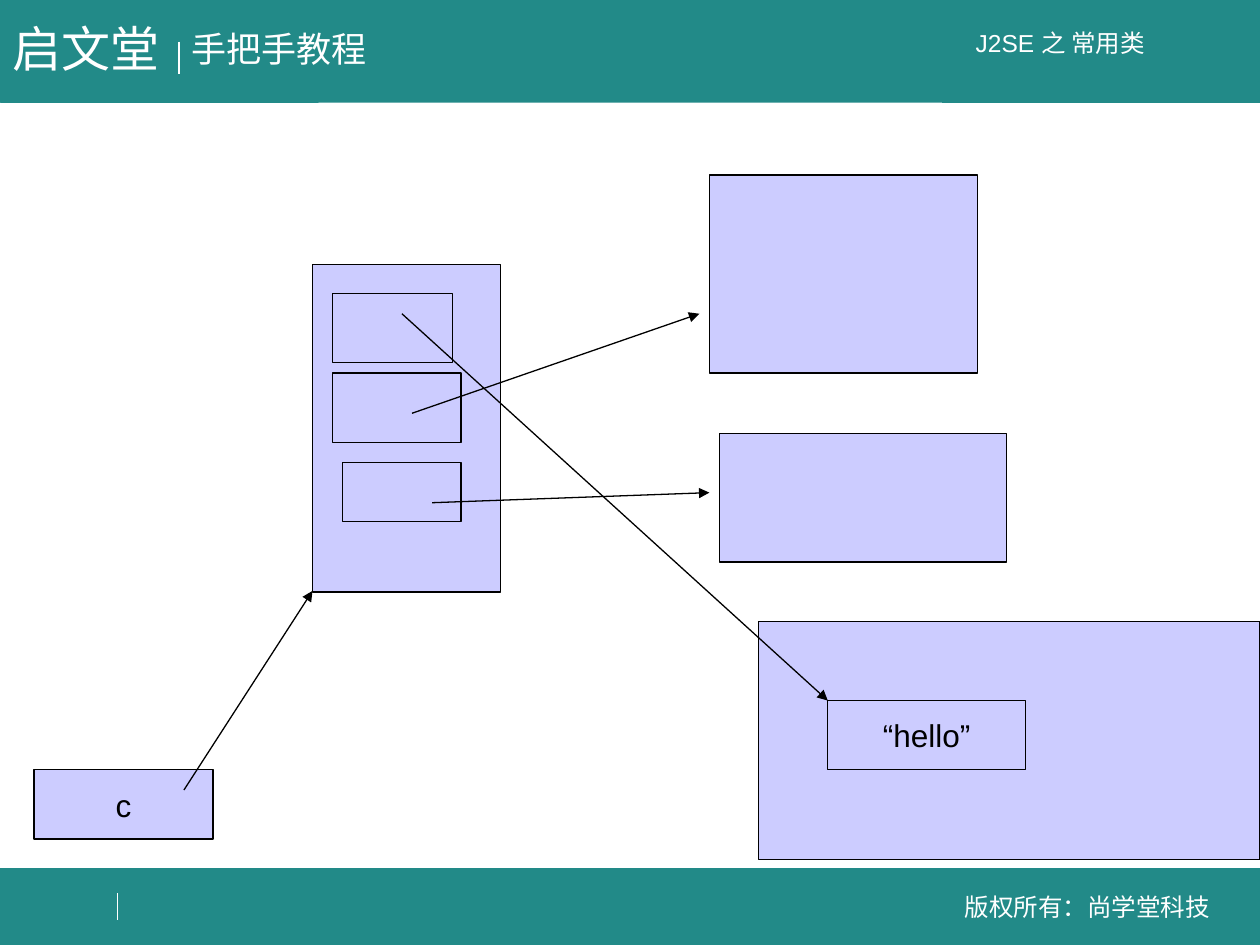
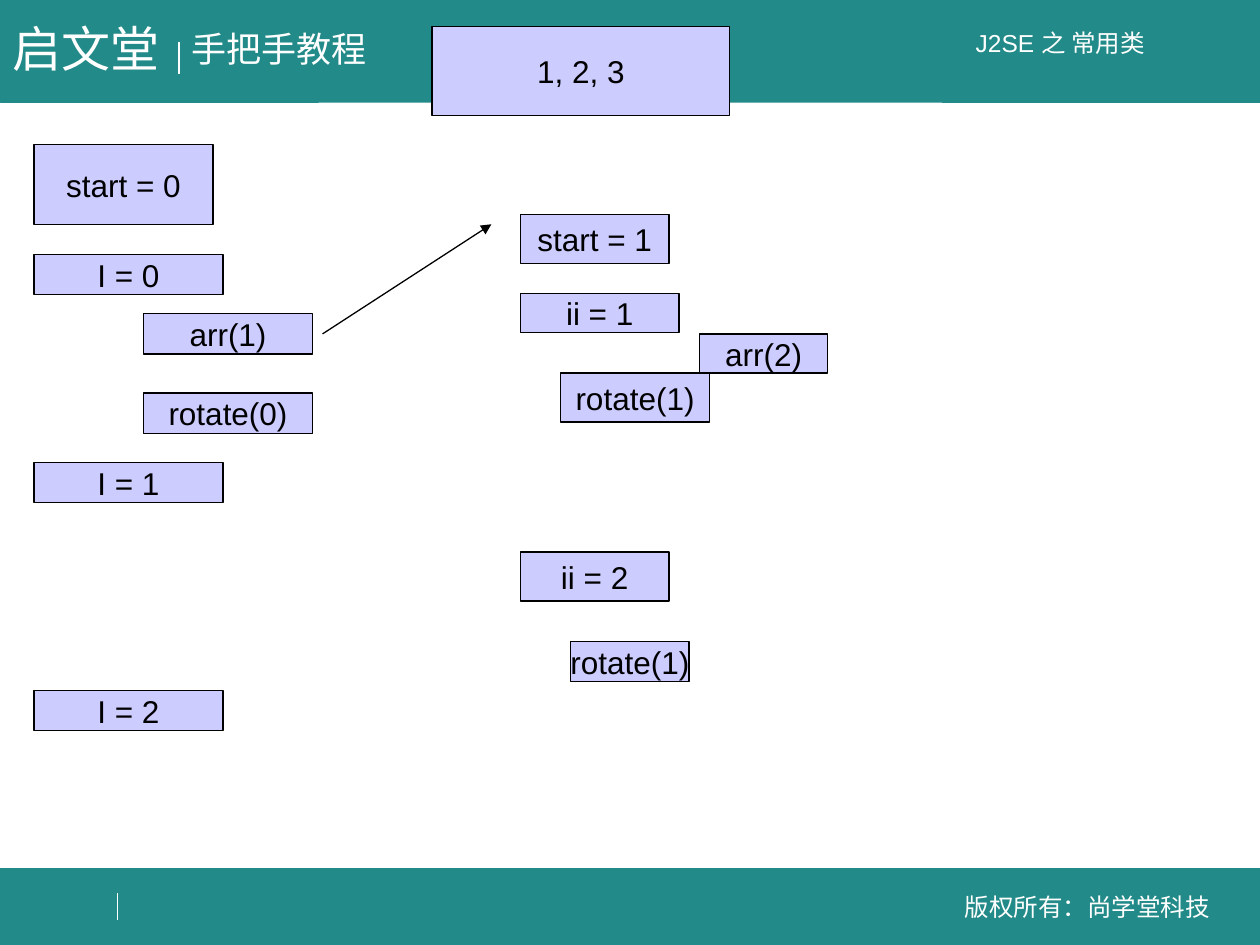
from dataclasses import dataclass

from pptx import Presentation
from pptx.dml.color import RGBColor
from pptx.enum.shapes import MSO_CONNECTOR, MSO_SHAPE
from pptx.enum.text import MSO_ANCHOR, MSO_AUTO_SIZE, PP_ALIGN
from pptx.oxml.ns import qn
from pptx.slide import Slide
from pptx.text.text import TextFrame
from pptx.util import Inches, Pt
from lxml.etree import SubElement

TEAL = RGBColor(0x22, 0x8A, 0x88)
LAVENDER = RGBColor(0xCC, 0xCC, 0xFF)
BLACK = RGBColor(0, 0, 0)
WHITE = RGBColor(0xFF, 0xFF, 0xFF)
FONT = "Arial"


@dataclass(frozen=True)
class Box:
    x: float
    y: float
    w: float
    h: float
    text: str = ""


@dataclass(frozen=True)
class Label:
    box: Box
    size: int
    centred: bool = False


@dataclass(frozen=True)
class Line:
    x1: float
    y1: float
    x2: float
    y2: float


BANDS = [Box(0, 6.89, 10, 0.61), Box(0, 0, 10, 0.81)]
DIVIDERS = [Line(1.42, 0.33, 1.42, 0.59), Line(0.93, 7.09, 0.93, 7.3)]
LABELS = [
    Label(Box(1.42, 0.17, 1.59, 0.44, "手把手教程"), 20),
    Label(Box(7.47, 7.03, 2.32, 0.34, "版权所有：尚学堂科技"), 14, True),
    Label(Box(6.83, 0.17, 3.17, 0.34, "J2SE 之 常用类"), 14, True),
    Label(Box(0, 0.1, 1.42, 0.57, "启文堂"), 28),
]

MEMORY_BOXES = [
    Box(0.27, 6.11, 1.42, 0.55, "c"),
    Box(2.48, 2.1, 1.49, 2.6),
    Box(2.64, 2.33, 0.95, 0.55),
    Box(2.64, 2.96, 1.02, 0.55),
    Box(2.72, 3.67, 0.94, 0.47),
    Box(6.02, 4.93, 3.98, 1.89),
    Box(6.57, 5.56, 1.57, 0.55, "“hello”"),
    Box(5.63, 1.39, 2.13, 1.57),
    Box(5.71, 3.44, 2.28, 1.02),
]
MEMORY_ARROWS = [
    Line(3.19, 2.49, 6.57, 5.56),
    Line(3.27, 3.28, 5.55, 2.49),
    Line(3.43, 3.99, 5.63, 3.91),
    Line(1.46, 6.27, 2.48, 4.69),
]

LOOP_STEPS = [Box(0.27, y, 1.5, 0.32, f"I = {i}") for i, y in enumerate((2.02, 3.67, 5.48))]
OUTER_CALLS = [
    Box(1.14, y, 1.34, 0.32, text) for y, text in ((2.49, "arr(1)"), (3.12, "rotate(0)"))
]
RECURSION_BOXES = [
    Box(0.27, 1.15, 1.42, 0.63, "start = 0"),
    *LOOP_STEPS,
    *OUTER_CALLS,
    Box(3.43, 0.21, 2.36, 0.71, "1, 2, 3"),
    Box(4.13, 1.7, 1.18, 0.39, "start = 1"),
    Box(4.13, 2.33, 1.26, 0.31, "ii = 1"),
    Box(4.45, 2.96, 1.18, 0.39, "rotate(1)"),
    Box(5.55, 2.65, 1.02, 0.31, "arr(2)"),
    Box(4.13, 4.38, 1.18, 0.39, "ii = 2"),
    Box(4.53, 5.09, 0.94, 0.32, "rotate(1)"),
]
RECURSION_ARROWS = [Line(2.56, 2.65, 3.9, 1.78)]


def write(tf: TextFrame, text: str, size: int, color: RGBColor, align: PP_ALIGN) -> None:
    p = tf.paragraphs[0]
    p.alignment = align
    r = p.add_run()
    r.text = text
    r.font.name = FONT
    r.font.size = Pt(size)
    r.font.color.rgb = color


def draw_box(s: Slide, box: Box, fill: RGBColor, line: RGBColor, width: float) -> None:
    sp = s.shapes.add_shape(
        MSO_SHAPE.RECTANGLE, Inches(box.x), Inches(box.y), Inches(box.w), Inches(box.h)
    )
    sp.shadow.inherit = False
    sp.fill.solid()
    sp.fill.fore_color.rgb = fill
    sp.line.color.rgb = line
    sp.line.width = Pt(width)
    if box.text:
        tf = sp.text_frame
        tf.word_wrap = False
        tf.vertical_anchor = MSO_ANCHOR.MIDDLE
        write(tf, box.text, 18, BLACK, PP_ALIGN.CENTER)


def draw_label(s: Slide, label: Label) -> None:
    box = label.box
    sp = s.shapes.add_textbox(Inches(box.x), Inches(box.y), Inches(box.w), Inches(box.h))
    tf = sp.text_frame
    tf.word_wrap = label.centred
    tf.auto_size = MSO_AUTO_SIZE.SHAPE_TO_FIT_TEXT
    tf.vertical_anchor = MSO_ANCHOR.MIDDLE if label.centred else MSO_ANCHOR.TOP
    write(tf, box.text, label.size, WHITE, PP_ALIGN.CENTER if label.centred else PP_ALIGN.LEFT)


def draw_line(s: Slide, line: Line, color: RGBColor, arrow: bool = False) -> None:
    cx = s.shapes.add_connector(
        MSO_CONNECTOR.STRAIGHT,
        Inches(line.x1), Inches(line.y1), Inches(line.x2), Inches(line.y2),
    )
    cx.line.color.rgb = color
    cx.line.width = Pt(0.75)
    if arrow:
        SubElement(cx.line._get_or_add_ln(), qn("a:tailEnd"), type="triangle")
    SubElement(cx._element.spPr, qn("a:effectLst"))


def add_slide(prs: Presentation, boxes: list[Box], arrows: list[Line]) -> None:
    s = prs.slides.add_slide(prs.slide_layouts[6])
    for band in BANDS:
        draw_box(s, band, TEAL, TEAL, 0.25)
    for divider in DIVIDERS:
        draw_line(s, divider, WHITE)
    for label in LABELS:
        draw_label(s, label)
    for box in boxes:
        draw_box(s, box, LAVENDER, BLACK, 0.75)
    for line in arrows:
        draw_line(s, line, BLACK, arrow=True)


def main() -> None:
    prs = Presentation()
    prs.slide_width = Inches(10)
    prs.slide_height = Inches(7.5)
    add_slide(prs, MEMORY_BOXES, MEMORY_ARROWS)
    add_slide(prs, RECURSION_BOXES, RECURSION_ARROWS)
    prs.save("out.pptx")


if __name__ == "__main__":
    main()
